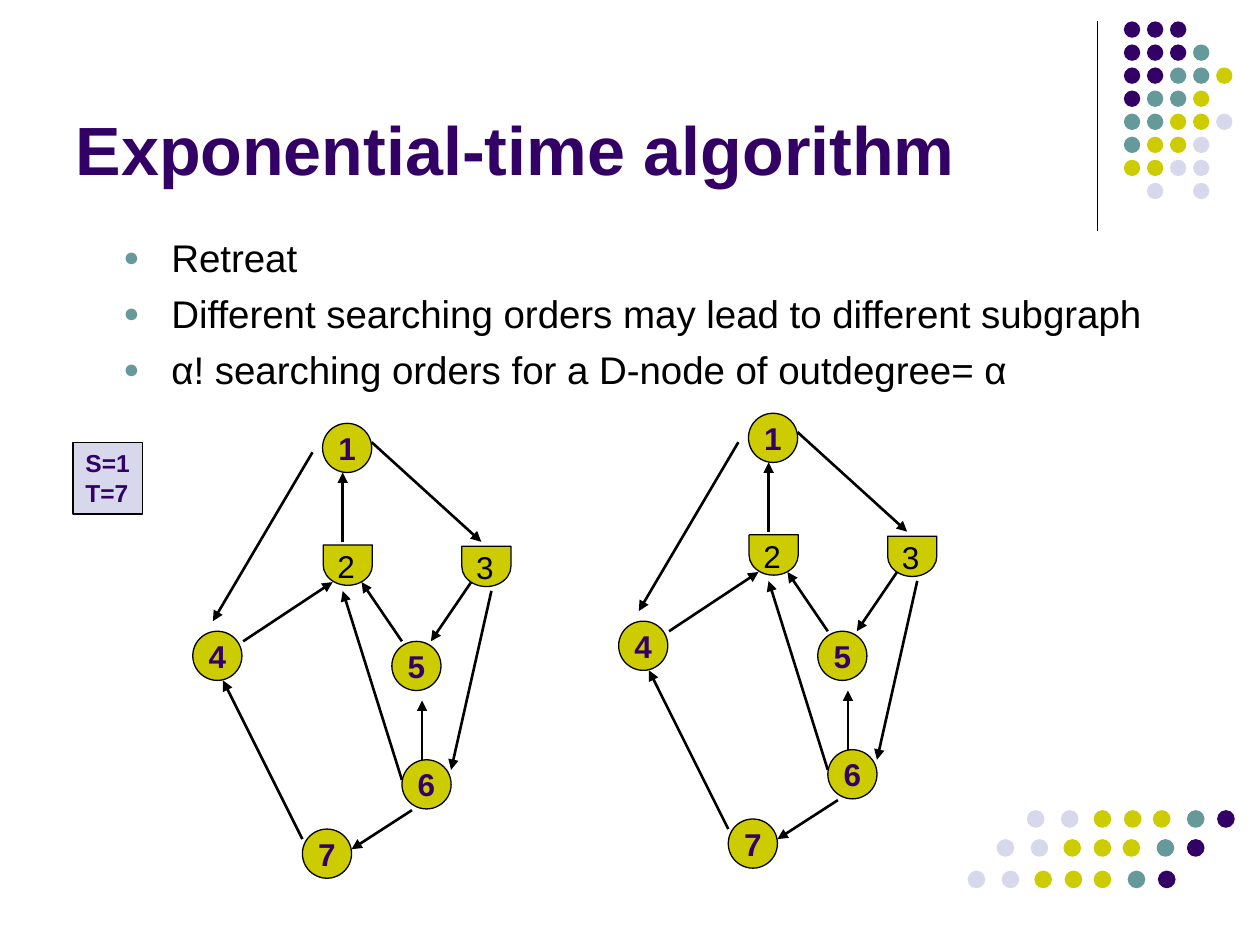
"""Build the slide on retreat and searching orders in the exponential-time algorithm."""
from lxml.etree import SubElement
from pptx import Presentation
from pptx.dml.color import RGBColor
from pptx.enum.shapes import MSO_CONNECTOR, MSO_SHAPE
from pptx.enum.text import MSO_ANCHOR, PP_ALIGN
from pptx.oxml.ns import qn
from pptx.util import Inches, Pt

PURPLE = RGBColor(0x33, 0x00, 0x66)
TEAL = RGBColor(0x66, 0x99, 0x99)
YELLOW = RGBColor(0xCC, 0xCC, 0x00)
LILAC = RGBColor(0xD8, 0xD8, 0xEC)
BLACK = RGBColor(0x00, 0x00, 0x00)
DOT_COLORS = {"P": PURPLE, "T": TEAL, "Y": YELLOW, "L": LILAC}

TITLE = "Exponential-time algorithm"
BULLETS = [
    "Retreat",
    "Different searching orders may lead to different subgraph",
    "α! searching orders for a D-node of outdegree= α",
]
TERMINALS = ["S=1", "T=7"]

TOP_DOTS = ["PPP", "PPPT", "PPTTY", "PTTY", "TTYYL", "TYYL", "YYLL", " L L"]
BOTTOM_DOTS = "LLYYYTP"
BOTTOM_STEPS = [0, 0.27, 0.53, 0.77, 1, 1.27, 1.51]
BOTTOM_ROWS = [(8.15, 6.43), (7.91, 6.66), (7.68, 6.91)]

GRAPH_SHIFTS = [(0, 0), (3.38, -0.08)]
ROUND_NODES = {
    "1": (2.56, 3.36), "4": (1.53, 5.01), "5": (3.11, 5.09),
    "7": (2.4, 6.58), "6": (3.19, 6.03),
}
D_NODES = {"2": (2.6, 4.29), "3": (3.7, 4.3)}
EDGES = [
    ((2.72, 4.3), (2.72, 3.75)), ((1.93, 5.09), (2.64, 4.62)),
    ((3.19, 5.09), (2.87, 4.62)), ((3.19, 6.19), (2.72, 4.69)),
    ((2.95, 3.51), (3.82, 4.3)), ((2.48, 3.59), (1.69, 4.93)),
    ((3.74, 4.62), (3.42, 5.09)), ((3.9, 4.69), (3.58, 6.11)),
    ((3.35, 6.03), (3.35, 5.56)), ((3.27, 6.43), (2.79, 6.74)),
    ((2.4, 6.66), (1.77, 5.4)),
]

TITLE_FONT = {"size": Pt(39), "bold": True}
BODY_FONT = {"size": Pt(22), "bold": False}
NODE_FONT = {"size": Pt(18), "bold": True}
D_NODE_FONT = {"size": Pt(18), "bold": False}
TERMINAL_FONT = {"size": Pt(14), "bold": True}


def place(box, left, top, width, height):
    box.left, box.top = Inches(left), Inches(top)
    box.width, box.height = Inches(width), Inches(height)


def write(paragraph, text, style, color):
    span = paragraph.add_run()
    span.text = text
    span.font.name = "Arial"
    span.font.color.rgb = color
    for name, value in style.items():
        setattr(span.font, name, value)


def write_lines(frame, lines, style, color, align=PP_ALIGN.LEFT):
    for index, line in enumerate(lines):
        paragraph = frame.paragraphs[0] if index == 0 else frame.add_paragraph()
        paragraph.alignment = align
        write(paragraph, line, style, color)


def add_bullet(paragraph):
    properties = paragraph._p.get_or_add_pPr()
    properties.set("marL", str(Inches(0.76)))
    properties.set("indent", str(Inches(-0.38)))
    color = SubElement(properties, qn("a:buClr"))
    SubElement(color, qn("a:srgbClr"), val=str(TEAL))
    SubElement(properties, qn("a:buSzPct"), val="70000")
    SubElement(properties, qn("a:buFont"), typeface="Arial")
    SubElement(properties, qn("a:buChar"), char="●")


def add_filled(page, kind, at, fill, outlined=True):
    shape = page.shapes.add_shape(kind, *map(Inches, at))
    shape.shadow.inherit = False
    shape.fill.solid()
    shape.fill.fore_color.rgb = fill
    if outlined:
        shape.line.color.rgb = BLACK
        shape.line.width = Pt(0.75)
    else:
        shape.line.fill.background()
    return shape


def add_line(page, start, end, width, arrow=False):
    line = page.shapes.add_connector(MSO_CONNECTOR.STRAIGHT, *map(Inches, (*start, *end)))
    line.line.color.rgb = BLACK
    line.line.width = Pt(width)
    if arrow:
        SubElement(line.line._get_or_add_ln(), qn("a:tailEnd"), type="triangle")
    SubElement(line._element.spPr, qn("a:effectLst"))


def add_dots(page):
    for row, colors in enumerate(TOP_DOTS):
        for column, key in enumerate(colors):
            if key in DOT_COLORS:
                at = (8.92 + 0.183 * column, 0.17 + 0.183 * row, 0.13, 0.13)
                add_filled(page, MSO_SHAPE.OVAL, at, DOT_COLORS[key], False)
    for left, top in BOTTOM_ROWS:
        for step, key in zip(BOTTOM_STEPS, BOTTOM_DOTS):
            at = (left + step, top, 0.14, 0.14)
            add_filled(page, MSO_SHAPE.OVAL, at, DOT_COLORS[key], False)


def add_graph(page, right, down):
    for label, (left, top) in D_NODES.items():
        left, top = left + right, top + down
        half = add_filled(page, MSO_SHAPE.FLOWCHART_DELAY, (left, top, 0.32, 0.39), YELLOW)
        half.rotation = 90
        box = page.shapes.add_textbox(*map(Inches, (left - 0.02, top, 0.34, 0.4)))
        box.text_frame.word_wrap = False
        write_lines(box.text_frame, [label], D_NODE_FONT, BLACK)
    for label, (left, top) in ROUND_NODES.items():
        node = add_filled(page, MSO_SHAPE.OVAL, (left + right, top + down, 0.39, 0.39), YELLOW)
        node.text_frame.word_wrap = False
        node.text_frame.vertical_anchor = MSO_ANCHOR.MIDDLE
        write_lines(node.text_frame, [label], NODE_FONT, PURPLE, PP_ALIGN.CENTER)
    for start, end in EDGES:
        points = [(x + right, y + down) for x, y in (start, end)]
        add_line(page, *points, 1.5, arrow=True)


def main():
    deck = Presentation()
    deck.slide_width, deck.slide_height = Inches(10), Inches(7.5)
    page = deck.slides.add_slide(deck.slide_layouts[1])

    title, body = page.placeholders
    place(title, 0.5, 0.13, 8.25, 1.42)
    title.text_frame.vertical_anchor = MSO_ANCHOR.BOTTOM
    write_lines(title.text_frame, [TITLE], TITLE_FONT, PURPLE)

    place(body, 0.5, 1.81, 9, 3.18)
    write_lines(body.text_frame, BULLETS, BODY_FONT, BLACK)
    for index, paragraph in enumerate(body.text_frame.paragraphs):
        paragraph.level = 1
        paragraph.space_before = Pt(5.5 if index else 0)
        add_bullet(paragraph)

    add_line(page, (8.71, 0.17), (8.71, 1.83), 0.75)
    add_dots(page)
    for right, down in GRAPH_SHIFTS:
        add_graph(page, right, down)

    terminals = add_filled(page, MSO_SHAPE.RECTANGLE, (0.58, 3.51, 0.55, 0.57), LILAC)
    terminals.text_frame.word_wrap = False
    terminals.text_frame.vertical_anchor = MSO_ANCHOR.TOP
    write_lines(terminals.text_frame, TERMINALS, TERMINAL_FONT, PURPLE)

    deck.save("out.pptx")


if __name__ == "__main__":
    main()
